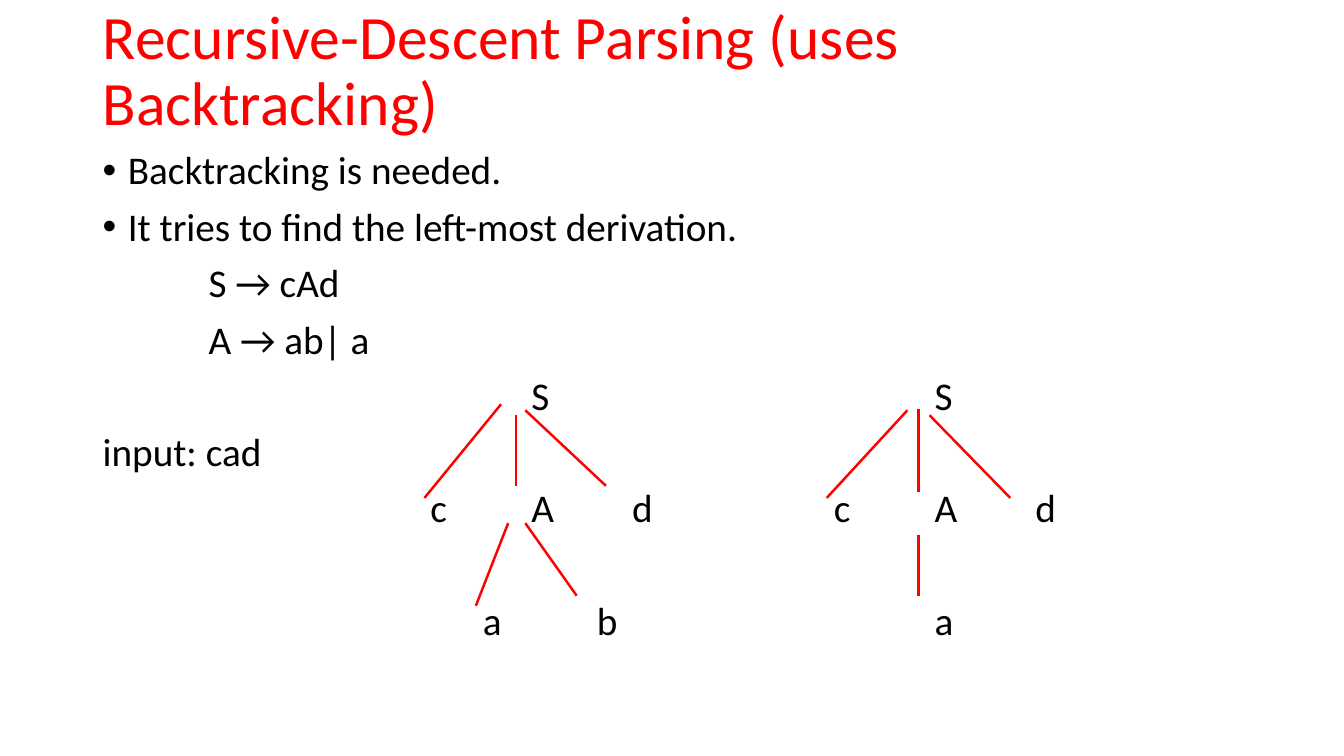
import pptx
import pptx.dml.color
import pptx.enum.shapes
import pptx.enum.text
import pptx.oxml
import pptx.oxml.ns
import pptx.util
from pptx.util import Inches

RED = pptx.dml.color.RGBColor(0xFF, 0x00, 0x00)
BLACK = pptx.dml.color.RGBColor(0x00, 0x00, 0x00)
MIDDLE = pptx.enum.text.MSO_ANCHOR.MIDDLE
TOP = pptx.enum.text.MSO_ANCHOR.TOP

TITLE_FONT = {"name": "Calibri", "size": pptx.util.Pt(44)}
BODY_FONT = {"name": "Calibri", "size": pptx.util.Pt(28)}
NO_MARGINS = {"margin_left": 0, "margin_top": 0,
              "margin_right": 0, "margin_bottom": 0}

# Text, left margin in inches, bullet, space before in points.
BODY_LINES = [
    ("Backtracking is needed.", 0.25, True, 10),
    ("It tries to find the left-most derivation.", 0.25, True, 10),
    ("S → cAd", 1.05, False, 10),
    ("A → ab| a", 1.05, False, 10),
    ("input: cad", 0, False, 50),
]

# Left edges of the labels on each level of a tree.
ROOT_TOP, CHILD_TOP, LEAF_TOP = 3.74, 4.85, 5.97
FIRST_LABELS = [
    ("S", 5.27, ROOT_TOP),
    ("c", 4.27, CHILD_TOP),
    ("A", 5.27, CHILD_TOP),
    ("d", 6.27, CHILD_TOP),
    ("a", 4.79, LEAF_TOP),
    ("b", 5.92, LEAF_TOP),
]
SECOND_LABELS = [
    ("S", 9.27, ROOT_TOP),
    ("c", 8.27, CHILD_TOP),
    ("A", 9.27, CHILD_TOP),
    ("d", 10.27, CHILD_TOP),
    ("a", 9.27, LEAF_TOP),
]

# Each branch runs from parent to child: x1, y1, x2, y2.
FIRST_BRANCHES = [
    (4.97, 4.01, 4.21, 4.94),
    (5.12, 4.12, 5.12, 4.82),
    (5.21, 4.07, 6.01, 4.82),
    (5.04, 5.19, 4.72, 6.01),
    (5.21, 5.19, 5.72, 5.91),
]
SECOND_BRANCHES = [
    (9, 4.07, 8.2, 4.94),
    (9.22, 4.12, 10.02, 4.94),
    (9.11, 4.06, 9.11, 4.88),
    (9.11, 5.31, 9.11, 5.91),
]


def add_text_frame(slide, left, top, width, height, anchor):
    box = slide.shapes.add_textbox(
        Inches(left), Inches(top), Inches(width), Inches(height))
    frame = box.text_frame
    frame.word_wrap = True
    frame.vertical_anchor = anchor
    return frame


def write_paragraph(paragraph, text, font_format, color, space_before=0):
    paragraph.line_spacing = 0.9
    paragraph.space_before = pptx.util.Pt(space_before)
    run = paragraph.add_run()
    run.text = text
    for name, value in font_format.items():
        setattr(run.font, name, value)
    run.font.color.rgb = color


def indent_paragraph(paragraph, margin, bullet):
    """Set the left margin and, if asked for, a hanging bullet."""
    properties = paragraph._p.get_or_add_pPr()
    properties.set("marL", str(Inches(margin)))
    properties.set("indent", str(Inches(-margin if bullet else 0)))
    if bullet:
        namespace = pptx.oxml.ns.nsdecls("a")
        properties.append(pptx.oxml.parse_xml(
            f'<a:buFont {namespace} typeface="Arial"/>'))
        properties.append(pptx.oxml.parse_xml(
            f'<a:buChar {namespace} char="•"/>'))


def add_title(slide, text):
    frame = add_text_frame(slide, 0.92, 0.21, 11.5, 1.02, MIDDLE)
    write_paragraph(frame.paragraphs[0], text, TITLE_FONT, RED)


def add_body(slide, lines):
    frame = add_text_frame(slide, 0.92, 1.45, 11.89, 5.66, TOP)
    for index, (text, margin, bullet, space_before) in enumerate(lines):
        paragraph = frame.add_paragraph() if index else frame.paragraphs[0]
        write_paragraph(paragraph, text, BODY_FONT, BLACK, space_before)
        indent_paragraph(paragraph, margin, bullet)


def add_label(slide, text, left, top):
    frame = add_text_frame(slide, left, top, 0.4, 0.43, TOP)
    for name, value in NO_MARGINS.items():
        setattr(frame, name, value)
    write_paragraph(frame.paragraphs[0], text, BODY_FONT, BLACK)


def add_branch(slide, ends):
    connector = slide.shapes.add_connector(
        pptx.enum.shapes.MSO_CONNECTOR.STRAIGHT, *map(Inches, ends))
    connector.line.color.rgb = RED
    connector.line.width = pptx.util.Pt(1.75)
    connector._element.spPr.append(pptx.oxml.parse_xml(
        f'<a:effectLst {pptx.oxml.ns.nsdecls("a")}/>'))


def add_tree(slide, labels, branches):
    for label in labels:
        add_label(slide, *label)
    for ends in branches:
        add_branch(slide, ends)


def main():
    presentation = pptx.Presentation()
    presentation.slide_width = Inches(13.33)
    presentation.slide_height = Inches(7.5)
    slide = presentation.slides.add_slide(presentation.slide_layouts[6])
    add_title(slide, "Recursive-Descent Parsing (uses Backtracking)")
    add_body(slide, BODY_LINES)
    add_tree(slide, FIRST_LABELS, FIRST_BRANCHES)
    add_tree(slide, SECOND_LABELS, SECOND_BRANCHES)
    presentation.save("out.pptx")


if __name__ == "__main__":
    main()
